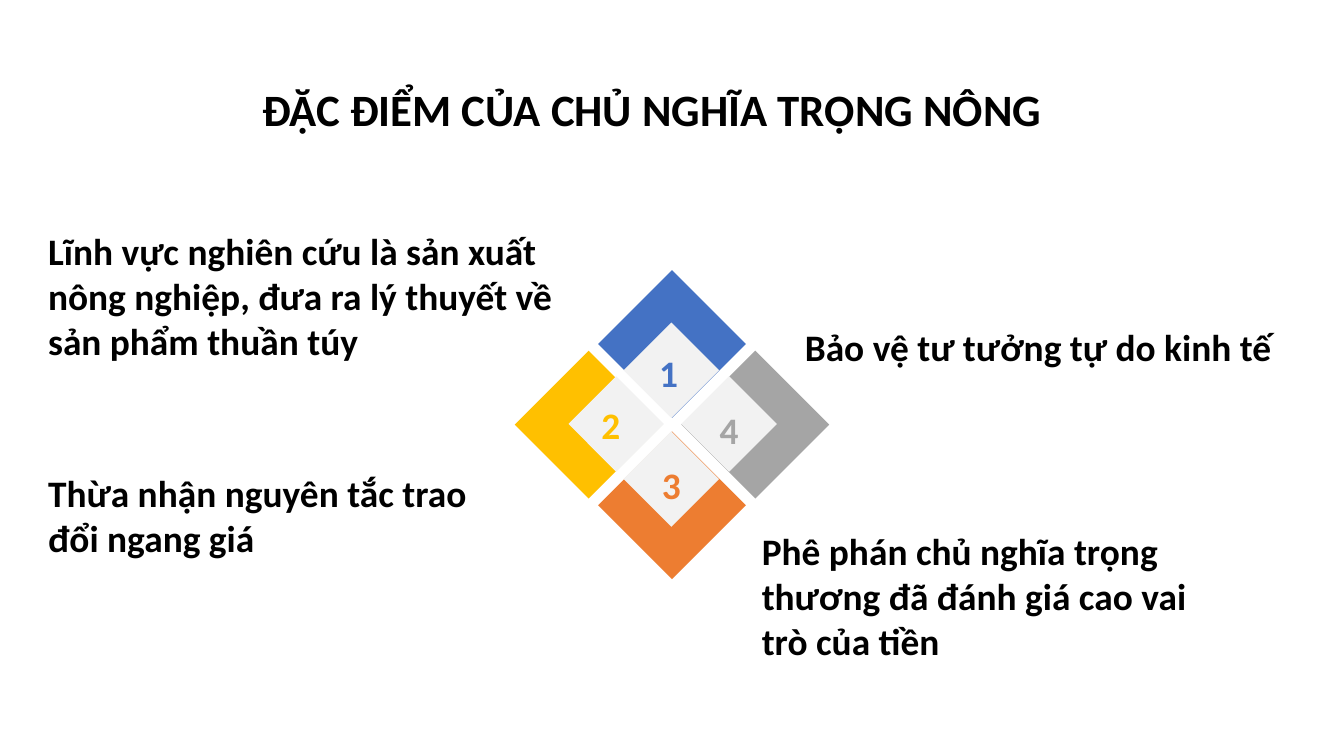
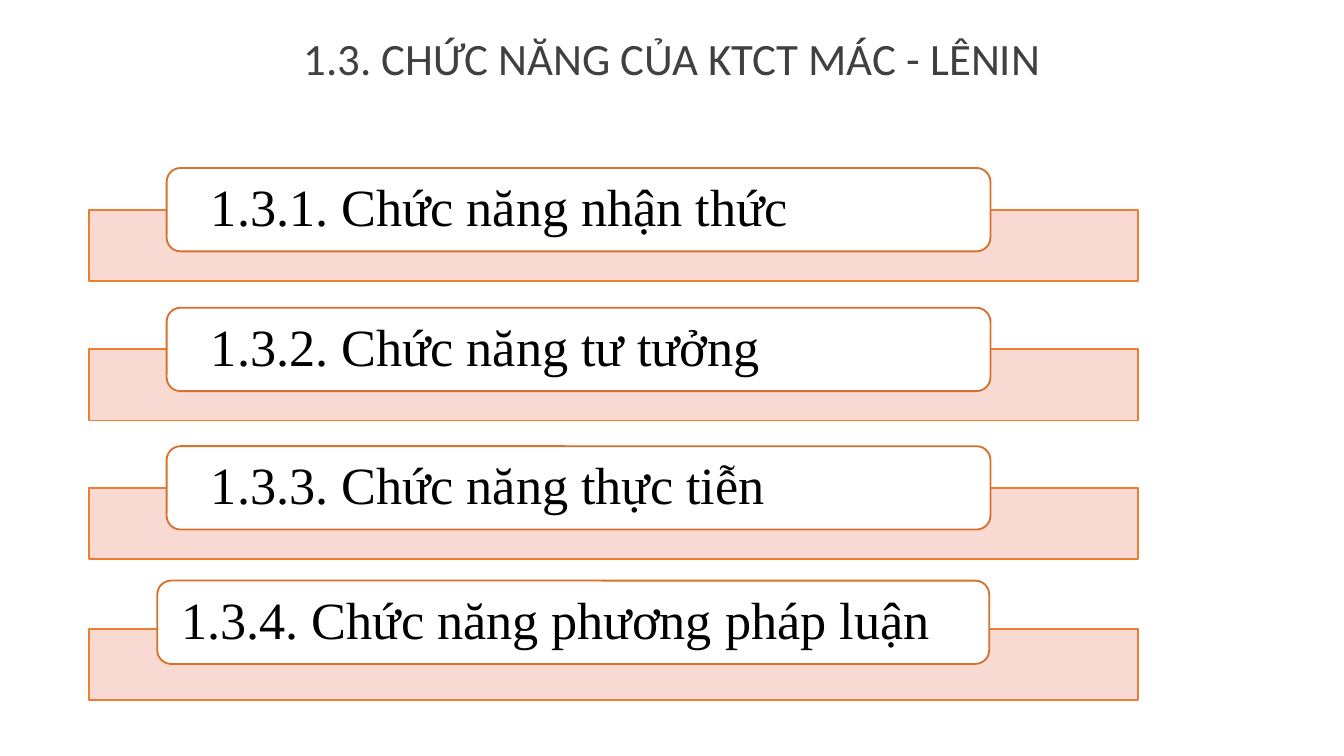
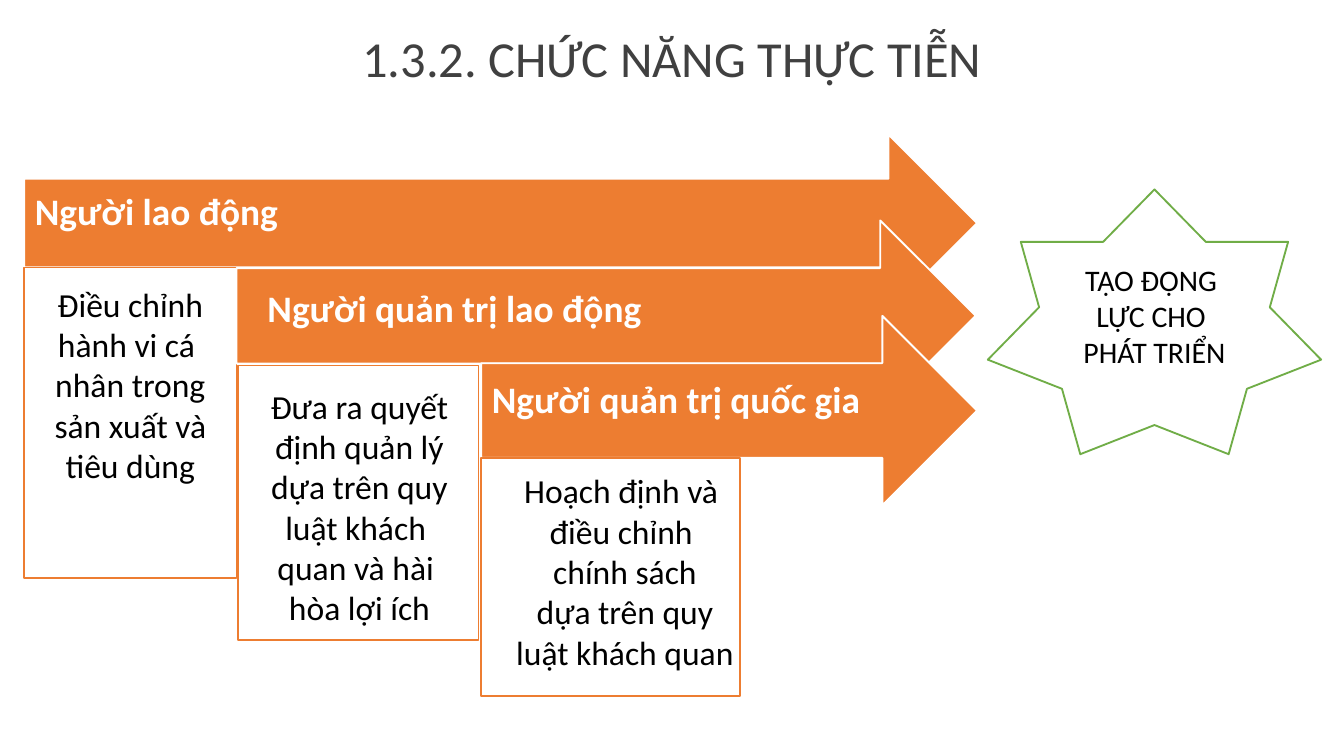
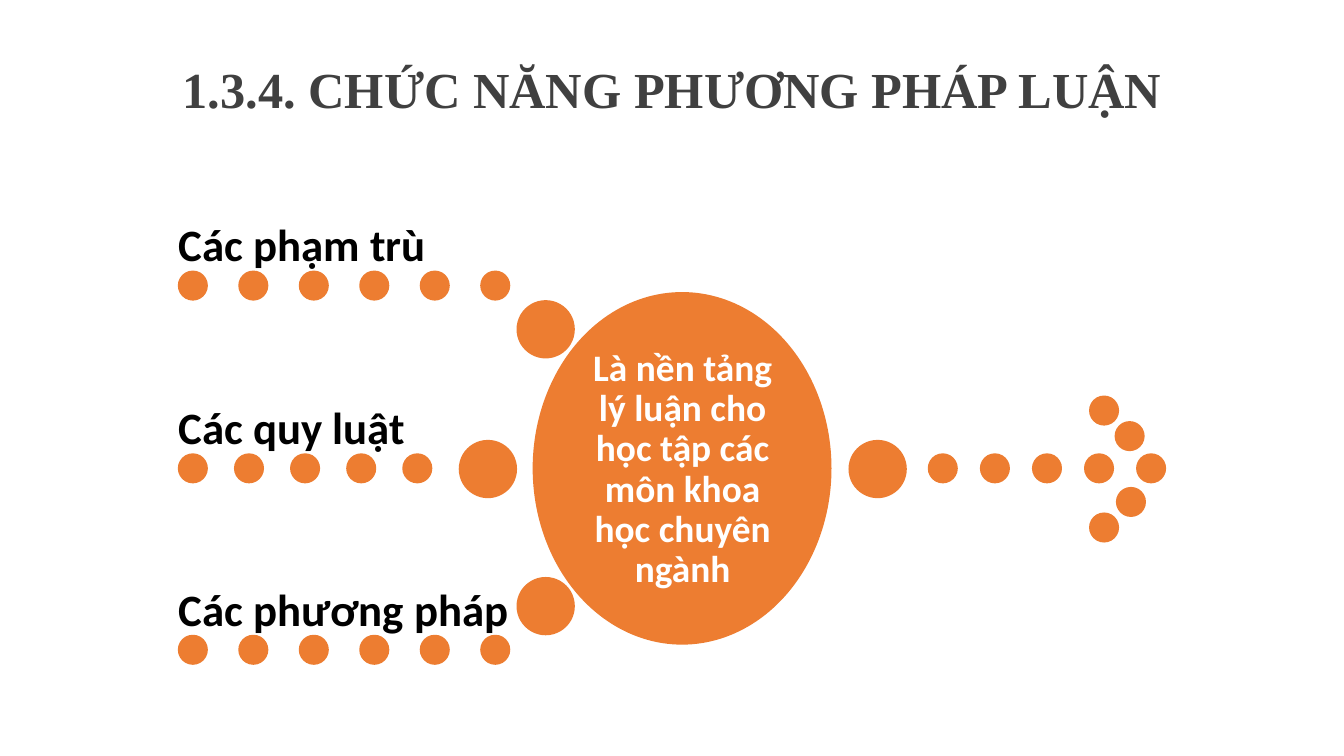
from lxml import etree
from pptx import Presentation
from pptx.dml.color import RGBColor
from pptx.enum.shapes import MSO_SHAPE
from pptx.enum.text import MSO_ANCHOR, PP_ALIGN
from pptx.oxml.ns import qn
from pptx.util import Inches, Pt

DIAMOND = MSO_SHAPE.DIAMOND
RECTANGLE = MSO_SHAPE.RECTANGLE
ROUNDED = MSO_SHAPE.ROUNDED_RECTANGLE
ARROW = MSO_SHAPE.RIGHT_ARROW
STAR = MSO_SHAPE.STAR_7_POINT
OVAL = MSO_SHAPE.OVAL
LEFT, CENTER = PP_ALIGN.LEFT, PP_ALIGN.CENTER
TOP, MIDDLE, BOTTOM = MSO_ANCHOR.TOP, MSO_ANCHOR.MIDDLE, MSO_ANCHOR.BOTTOM

# Shared colours and fonts
BLACK, WHITE, TITLE_GREY = "000000", "FFFFFF", "404040"
BLUE, GOLD, ORANGE, GREY, GREEN = "4472C4", "FFC000", "ED7D31", "A5A5A5", "70AD47"
PALE_GREY, PALE_ORANGE, DARK_ORANGE = "F2F2F2", "F8D7CE", "D7712C"
SANS, SERIF = "Calibri", "Times New Roman"

DOT, BIG_DOT = 0.21, 0.42


def rgb(code):
    return RGBColor.from_string(code)


# Elements
def add_block(page, kind, place, fill, line=None, opacity=None):
    block = page.shapes.add_shape(kind, *map(Inches, place))
    block.shadow.inherit = False
    block.fill.solid()
    block.fill.fore_color.rgb = rgb(fill)
    if opacity:
        color = block._element.spPr.find(".//" + qn("a:srgbClr"))
        etree.SubElement(color, qn("a:alpha"), val=str(opacity * 1000))
    if line:
        block.line.color.rgb = rgb(line)
        block.line.width = Pt(1)
    else:
        block.line.fill.background()
    return block


def write_text(box, text, size=20, font=SANS, color=BLACK, bold=False, align=LEFT,
               anchor=TOP, insets=(0.1, 0.05, 0.1, 0.05), spacing=None, before=None):
    """Fill a box; each line of the text becomes a paragraph."""
    frame = box.text_frame
    frame.word_wrap = True
    frame.vertical_anchor = anchor
    (frame.margin_left, frame.margin_top,
     frame.margin_right, frame.margin_bottom) = map(Inches, insets)
    for index, words in enumerate(text.split("\n")):
        para = frame.add_paragraph() if index else frame.paragraphs[0]
        para.alignment = align
        if spacing:
            para.line_spacing = spacing
        if before:
            para.space_before = Pt(before)
        span = para.add_run()
        span.text = words
        span.font.size = Pt(size)
        span.font.name = font
        span.font.bold = bold
        span.font.color.rgb = rgb(color)


def add_text(page, place, text, **style):
    write_text(page.shapes.add_textbox(*map(Inches, place)), text, **style)


def add_title(page, text, place=(0, 0.14, 10, 0.63), **style):
    style = {"size": 27, "color": TITLE_GREY, **style}
    add_text(page, place, text, align=CENTER, anchor=MIDDLE, spacing=0.9, before=7.5, **style)


def add_dot(page, left, top, size=DOT):
    add_block(page, OVAL, (left, top, size, size), ORANGE, ORANGE)


def add_dot_row(page, first, last, top, count):
    step = (last - first) / (count - 1)
    for index in range(count):
        add_dot(page, first + index * step, top)


# Slides
def build_features(page):
    add_title(page, "ĐẶC ĐIỂM CỦA CHỦ NGHĨA TRỌNG NÔNG", (0.15, 0.34, 9.4, 0.85),
              size=24, color=BLACK, bold=True, insets=(0.1, 0.19, 0.1, 0.05))
    # colour, outer corner, inner corner, number box, caption box, caption
    features = [
        (BLUE, (4.45, 2.01), (4.64, 2.4), (4.63, 2.56, 0.69, 0.67), (0.26, 1.65, 4.1, 1.11),
         "Lĩnh vực nghiên cứu là sản xuất nông nghiệp, đưa ra lý thuyết về sản phẩm thuần túy"),
        (GOLD, (3.83, 2.61), (4.23, 2.8), (4.19, 2.94, 0.71, 0.44), (0.26, 3.45, 3.79, 0.77),
         "Thừa nhận nguyên tắc trao\nđổi ngang giá"),
        (ORANGE, (4.45, 3.21), (4.64, 3.21), (4.61, 3.39, 0.77, 0.44), (5.57, 3.88, 3.6, 1.11),
         "Phê phán chủ nghĩa trọng\nthương đã đánh giá cao vai trò của tiền"),
        (GREY, (5.07, 2.61), (5.07, 2.8), (5.08, 2.98, 0.69, 0.44), (5.89, 2.36, 3.89, 0.44),
         "Bảo vệ tư tưởng tự do kinh tế"),
    ]
    for number, (color, outer, inner, number_box, caption_box, caption) in enumerate(features, 1):
        add_block(page, DIAMOND, (*outer, 1.1, 1.1), color)
        add_block(page, DIAMOND, (*inner, 0.71, 0.71), PALE_GREY)
        add_text(page, number_box, str(number), color=color, bold=True, align=CENTER)
        add_text(page, caption_box, caption, bold=True)


def build_functions(page):
    add_title(page, "1.3. CHỨC NĂNG CỦA KTCT MÁC - LÊNIN", size=24)
    # bar top, label top, label left and width, text left and width, label
    functions = [
        (1.56, 1.25, (1.24, 6.13), (1.27, 6.07), "1.3.1. Chức năng nhận thức"),
        (2.6, 2.29, (1.24, 6.13), (1.27, 6.07), "1.3.2. Chức năng tư tưởng"),
        (3.63, 3.32, (1.24, 6.13), (1.27, 6.07), "1.3.3. Chức năng thực tiễn"),
        (4.68, 4.32, (1.17, 6.19), (1.05, 6.31), "1.3.4. Chức năng phương pháp luận"),
    ]
    for bar_top, top, (left, width), (text_left, text_width), label in functions:
        add_block(page, RECTANGLE, (0.66, bar_top, 7.81, 0.53), PALE_ORANGE, ORANGE, opacity=90)
        add_block(page, ROUNDED, (left, top, width, 0.62), WHITE, DARK_ORANGE)
        add_text(page, (text_left, top + 0.03, text_width, 0.56), label, size=28, font=SERIF,
                 anchor=MIDDLE, insets=(0.3, 0, 0.3, 0), spacing=0.9)


def build_practice(page):
    add_title(page, "1.3.2. CHỨC NĂNG THỰC TIỄN")
    # arrow, heading box, heading, panel, detail box, detail
    roles = [
        ((0.18, 1, 7.09, 1.32), (0.18, 1.33, 6.83, 0.66), "Người lao động",
         (0.18, 1.99, 1.58, 2.31), (0.18, 1.99, 1.58, 2.31),
         "Điều chỉnh hành vi cá \nnhân trong sản xuất và tiêu dùng"),
        ((1.76, 1.64, 5.5, 1.42), (1.91, 2.03, 5.21, 0.71), "Người quản trị lao động",
         (1.77, 2.72, 1.79, 2.04), (1.79, 2.75, 1.77, 2.04),
         "Đưa ra quyết định quản lý dựa trên quy\nluật khách \nquan và hài \nhòa lợi ích"),
        ((3.58, 2.35, 3.69, 1.41), (3.58, 2.71, 3.34, 0.71), "Người quản trị quốc gia",
         (3.58, 3.41, 1.93, 1.77), (3.59, 3.38, 2.12, 1.77),
         "Hoạch định và \nđiều chỉnh \nchính sách\ndựa trên quy\nluật khách quan"),
    ]
    for arrow, heading_box, heading, panel, detail_box, detail in roles:
        add_block(page, ARROW, arrow, ORANGE, WHITE)
        add_text(page, heading_box, heading, color=WHITE, bold=True, anchor=MIDDLE,
                 insets=(0.08, 0.08, 0.28, 0.23), spacing=0.9)
        add_block(page, RECTANGLE, panel, WHITE, ORANGE)
        add_text(page, detail_box, detail, size=18, align=CENTER, insets=(0.12,) * 4)
    star = add_block(page, STAR, (7.35, 1.41, 2.48, 1.97), WHITE, GREEN)
    write_text(star, "TẠO ĐỘNG \nLỰC CHO \nPHÁT TRIỂN", size=16, align=CENTER, anchor=MIDDLE)


def build_methodology(page):
    add_title(page, "1.3.4. CHỨC NĂNG PHƯƠNG PHÁP LUẬN", (0, 0.37, 10, 0.63),
              font=SERIF, bold=True)
    # Dotted arrow to the right
    add_dot_row(page, 6.91, 8.46, 3.38, 5)
    add_dot(page, 6.32, 3.28, BIG_DOT)
    for left, top in [(8.11, 2.95), (8.11, 3.82), (8.3, 3.14), (8.31, 3.63)]:
        add_dot(page, left, top)
    # Central result
    add_block(page, OVAL, (3.97, 2.18, 2.21, 2.61), ORANGE, ORANGE)
    add_text(page, (4.3, 2.57, 1.56, 1.85),
             "Là nền tảng lý luận cho học tập các môn khoa học chuyên ngành", color=WHITE,
             bold=True, align=CENTER, anchor=MIDDLE, insets=(0.03,) * 4, spacing=0.9)
    # Inputs: label, text width, row top, last dot, dot count, big dot
    inputs = [
        ("Các phạm trù", 2.47, 2.02, 3.58, 6, (3.85, 2.24)),
        ("Các quy luật", 1.87, 3.38, 3, 5, (3.42, 3.28)),
        ("Các phương pháp", 2.47, 4.73, 3.58, 6, (3.85, 4.3)),
    ]
    for label, width, top, last, count, big_dot in inputs:
        add_dot(page, *big_dot, BIG_DOT)
        add_dot_row(page, 1.33, last, top, count)
        add_text(page, (1.33, top - 0.54, width, 0.54), label, size=24, bold=True,
                 anchor=BOTTOM, insets=(0,) * 4, spacing=0.9)


def main():
    deck = Presentation()
    # Widescreen, 16 to 9
    deck.slide_width = Inches(10)
    deck.slide_height = deck.slide_width * 9 // 16
    for build in (build_features, build_functions, build_practice, build_methodology):
        build(deck.slides.add_slide(deck.slide_layouts[6]))
    deck.save("out.pptx")


if __name__ == "__main__":
    main()
